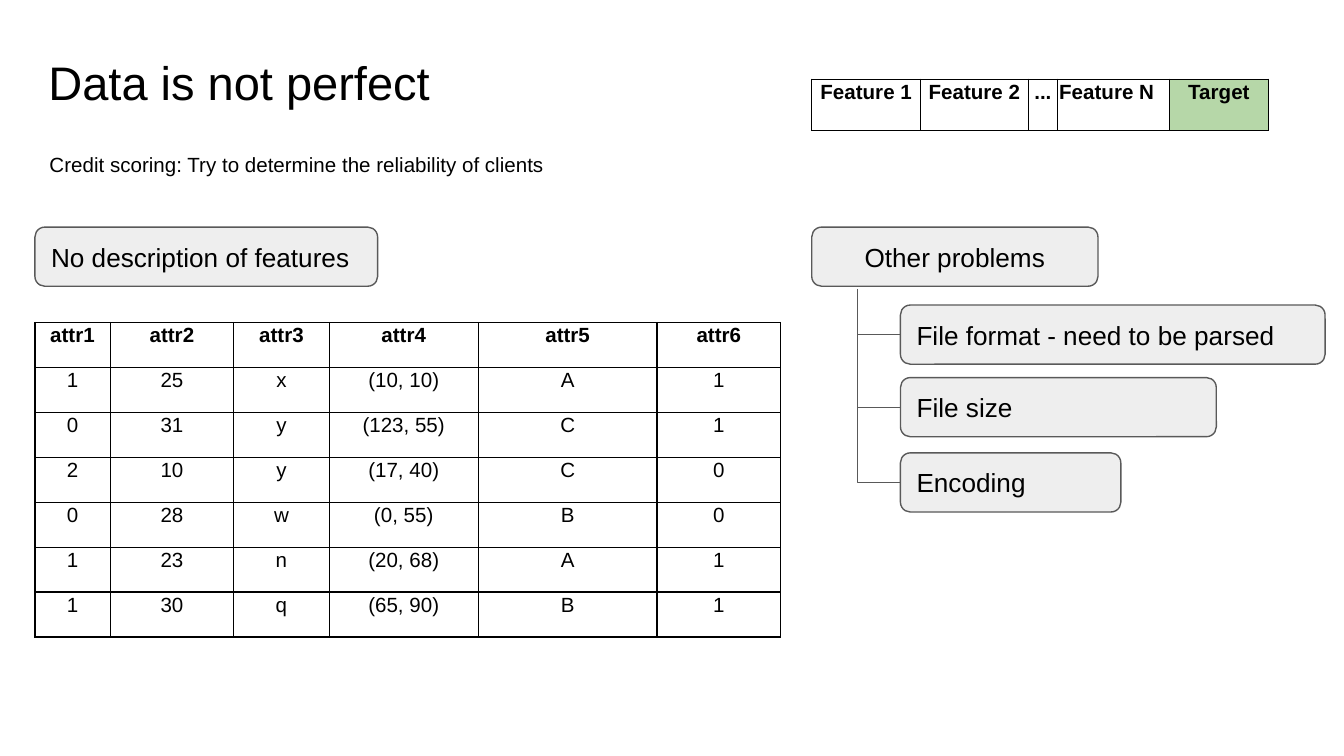
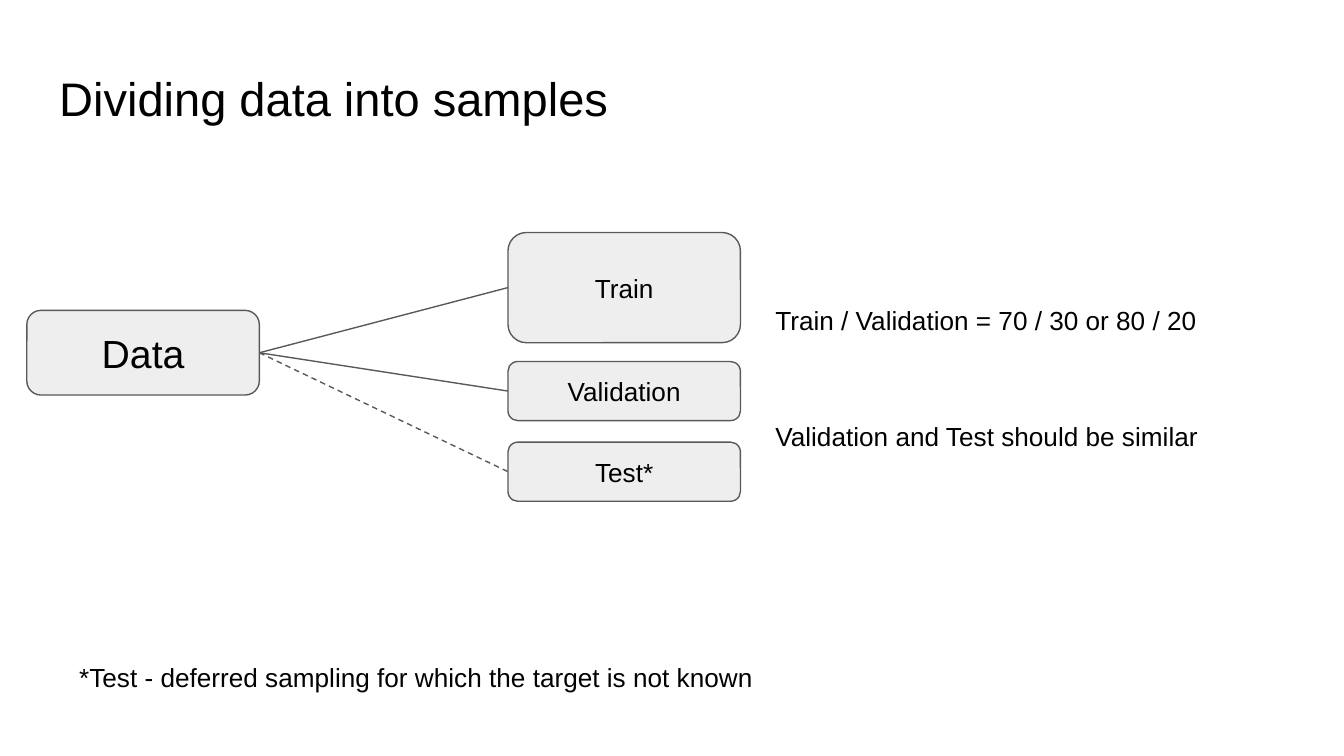
from dataclasses import dataclass

from lxml.etree import SubElement
from pptx import Presentation
from pptx.dml.color import RGBColor
from pptx.enum.dml import MSO_LINE
from pptx.enum.shapes import MSO_CONNECTOR as CONNECTOR, MSO_SHAPE as SHAPE
from pptx.enum.text import MSO_ANCHOR as ANCHOR, MSO_AUTO_SIZE, PP_ALIGN as ALIGN
from pptx.oxml.ns import qn
from pptx.shapes.autoshape import Shape
from pptx.shapes.connector import Connector
from pptx.slide import Slide
from pptx.table import _Cell as Cell
from pptx.text.text import TextFrame
from pptx.util import Inches, Pt

# Shared look
FONT = "Arial"
BLACK, GREY, PALE, GREEN = "000000", "595959", "EEEEEE", "B6D7A8"
LINE_WIDTH = Pt(0.75)
PADDING = 0.1
BOX_HEIGHT = 0.44


@dataclass
class Box:
    text: str
    left: float
    top: float
    width: float
    height: float = BOX_HEIGHT
    size: float = 14
    align: ALIGN = ALIGN.CENTER


def color(value: str) -> RGBColor:
    return RGBColor.from_string(value)


def format_text(frame: TextFrame, size: float, align: ALIGN = ALIGN.LEFT,
                bold: bool = False, spacing: float = 1.0) -> None:
    for paragraph in frame.paragraphs:
        paragraph.alignment = align
        paragraph.line_spacing = spacing
        for run in paragraph.runs:
            run.font.name = FONT
            run.font.size = Pt(size)
            run.font.bold = bold
            run.font.color.rgb = color(BLACK)


def set_margins(frame: TextFrame | Cell, margin: float) -> None:
    frame.margin_left = frame.margin_right = Inches(margin)
    frame.margin_top = frame.margin_bottom = Inches(margin)


def add_title(slide: Slide, text: str, left: float, top: float, width: float) -> None:
    title = slide.shapes.title
    title.left, title.top = Inches(left), Inches(top)
    title.width, title.height = Inches(width), Inches(0.63)
    frame = title.text_frame
    frame.text = text
    frame.word_wrap = True
    frame.auto_size = MSO_AUTO_SIZE.NONE
    frame.vertical_anchor = ANCHOR.TOP
    set_margins(frame, PADDING)
    format_text(frame, 25.2)


def add_note(slide: Slide, text: str, left: float, top: float, width: float,
             height: float, size: float, spacing: float = 1.0) -> TextFrame:
    note = slide.shapes.add_textbox(Inches(left), Inches(top), Inches(width), Inches(height))
    frame = note.text_frame
    frame.text = text
    frame.word_wrap = True
    set_margins(frame, PADDING)
    format_text(frame, size, spacing=spacing)
    return frame


def add_box(slide: Slide, box: Box) -> Shape:
    shape = slide.shapes.add_shape(SHAPE.ROUNDED_RECTANGLE, Inches(box.left), Inches(box.top),
                                   Inches(box.width), Inches(box.height))
    shape.shadow.inherit = False
    shape.fill.solid()
    shape.fill.fore_color.rgb = color(PALE)
    shape.line.color.rgb = color(GREY)
    shape.line.width = LINE_WIDTH
    frame = shape.text_frame
    frame.text = box.text
    frame.word_wrap = True
    frame.vertical_anchor = ANCHOR.MIDDLE
    set_margins(frame, PADDING)
    format_text(frame, box.size, box.align)
    return shape


def add_line(slide: Slide, x1: float, y1: float, x2: float, y2: float,
             kind: CONNECTOR = CONNECTOR.STRAIGHT) -> Connector:
    line = slide.shapes.add_connector(kind, Inches(x1), Inches(y1), Inches(x2), Inches(y2))
    line.line.color.rgb = color(GREY)
    line.line.width = LINE_WIDTH
    SubElement(line._element.spPr, qn("a:effectLst"))
    return line


def add_corner(slide: Slide, x1: float, y1: float, x2: float, y2: float) -> None:
    """Draw an elbow that runs down and then right: a mirrored corner turned by 270 degrees."""
    middle_x, middle_y = (x1 + x2) / 2, (y1 + y2) / 2
    half_run, half_rise = (y2 - y1) / 2, (x2 - x1) / 2
    corner = add_line(slide, middle_x + half_run, middle_y - half_rise,
                      middle_x - half_run, middle_y + half_rise, CONNECTOR.ELBOW)
    properties = corner._element.spPr
    properties.find(qn("a:xfrm")).set("rot", str(270 * 60000))
    properties.find(qn("a:prstGeom")).set("prst", "bentConnector2")


def format_cell(cell: Cell, text: str, bold: bool) -> None:
    cell.text_frame.text = text
    set_margins(cell, 0)
    format_text(cell.text_frame, 11, ALIGN.CENTER, bold, 1.08)
    properties = cell._tc.get_or_add_tcPr()
    for side in ("lnL", "lnR", "lnT", "lnB"):
        border = SubElement(properties, qn(f"a:{side}"), w=str(LINE_WIDTH))
        fill = SubElement(border, qn("a:solidFill"))
        SubElement(fill, qn("a:srgbClr"), val=BLACK)
    cell.fill.background()


def add_grid(slide: Slide, rows: list[list[str]], left: float, top: float,
             widths: list[float], height: float) -> list[list[Cell]]:
    """Draw a bordered table whose first row is bold."""
    table = slide.shapes.add_table(len(rows), len(widths), Inches(left), Inches(top),
                                   Inches(sum(widths)), Inches(height)).table
    table.first_row = table.horz_banding = False
    for column, width in zip(table.columns, widths):
        column.width = Inches(width)
    for i, texts in enumerate(rows):
        for j, text in enumerate(texts):
            format_cell(table.cell(i, j), text, bold=i == 0)
    return [[table.cell(i, j) for j in range(len(widths))] for i in range(len(rows))]


def build_imperfect_data(slide: Slide) -> None:
    add_title(slide, "Data is not perfect", 0.26, 0.3, 4.04)
    add_note(slide, "Credit scoring: Try to determine the reliability of clients",
             0.27, 1.04, 5, 0.39, 11)

    # Unnamed features
    add_box(slide, Box("No description of features", 0.26, 1.69, 2.55, align=ALIGN.LEFT))
    clients = [
        [f"attr{n}" for n in range(1, 7)],
        ["1", "25", "x", "(10, 10)", "A", "1"],
        ["0", "31", "y", "(123, 55)", "C", "1"],
        ["2", "10", "y", "(17, 40)", "C", "0"],
        ["0", "28", "w", "(0, 55)", "B", "0"],
        ["1", "23", "n", "(20, 68)", "A", "1"],
        ["1", "30", "q", "(65, 90)", "B", "1"],
    ]
    add_grid(slide, clients, 0.26, 2.4, [0.56, 0.92, 0.71, 1.11, 1.33, 0.92], 2.34)

    # Feature row with its target
    features = ["Feature 1", "Feature 2", "...", "Feature N", "Target"]
    header = add_grid(slide, [features], 6.04, 0.59, [0.81, 0.8, 0.22, 0.83, 0.74], 0.38)[0]
    header[3].margin_right = Inches(0.1)
    header[4].fill.solid()
    header[4].fill.fore_color.rgb = color(GREEN)

    # Tree of other problems
    add_box(slide, Box("Other problems", 6.04, 1.69, 2.13))
    trunk, branch_end = 6.38, 6.7
    problems = [
        Box("File format - need to be parsed", branch_end, 2.27, 3.16, align=ALIGN.LEFT),
        Box("File size", branch_end, 2.81, 2.35, align=ALIGN.LEFT),
        Box("Encoding", branch_end, 3.37, 1.64, align=ALIGN.LEFT),
    ]
    for problem in problems:
        add_box(slide, problem)
    *upper, lowest = [problem.top + BOX_HEIGHT / 2 for problem in problems]
    add_corner(slide, trunk, 2.15, branch_end, lowest)
    for middle in upper:
        add_line(slide, branch_end, middle, trunk, middle)


def build_samples(slide: Slide) -> None:
    add_title(slide, "Dividing data into samples", 0.34, 0.42, 9.32)

    # Advice beside the samples
    advice = add_note(slide, "Train / Validation = 70 / 30 or 80 / 20\n"
                      "Validation and Test should be similar", 5.67, 1.73, 4.19, 2, 14, 1.15)
    advice.margin_top = Inches(0.5)
    advice.paragraphs[1].space_before = Pt(43)

    # Data split into samples
    data = add_box(slide, Box("Data", 0.2, 2.31, 1.73, 0.63, 21))
    samples = [
        Box("Train", 3.78, 1.73, 1.73, 0.82),
        Box("Validation", 3.78, 2.69, 1.73),
        Box("Test*", 3.78, 3.29, 1.73),
    ]
    right_side, left_side = 3, 1
    for sample in samples:
        target = add_box(slide, sample)
        link = add_line(slide, 0, 0, 1, 1)
        link.begin_connect(data, right_side)
        link.end_connect(target, left_side)
        if sample.text == "Test*":
            link.line.dash_style = MSO_LINE.DASH

    add_note(slide, "*Test - deferred sampling for which the target is not known",
             0.49, 4.79, 6.09, 0.44, 14, 1.15)


# Widescreen deck, 16 to 9
deck = Presentation()
deck.slide_width = Inches(10)
deck.slide_height = deck.slide_width * 9 // 16
title_only = deck.slide_layouts[5]
for build in (build_imperfect_data, build_samples):
    build(deck.slides.add_slide(title_only))
deck.save("out.pptx")
